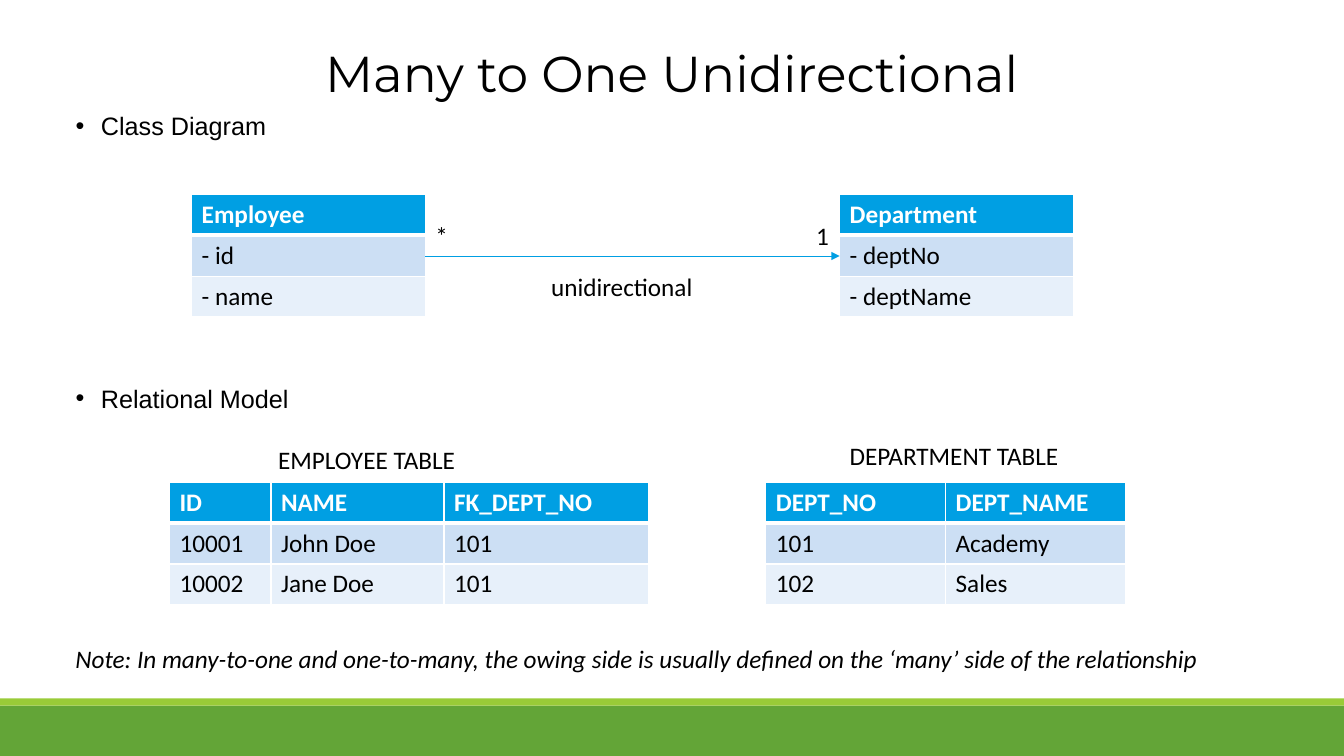
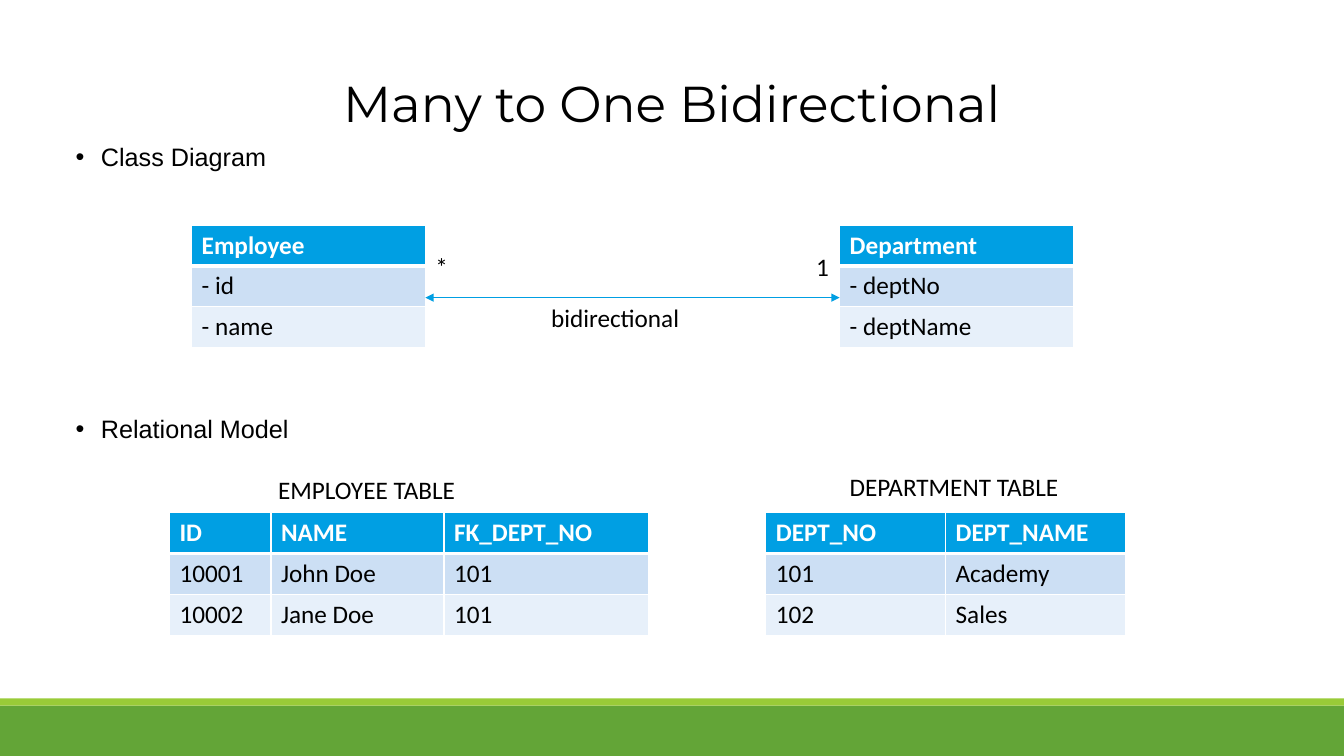
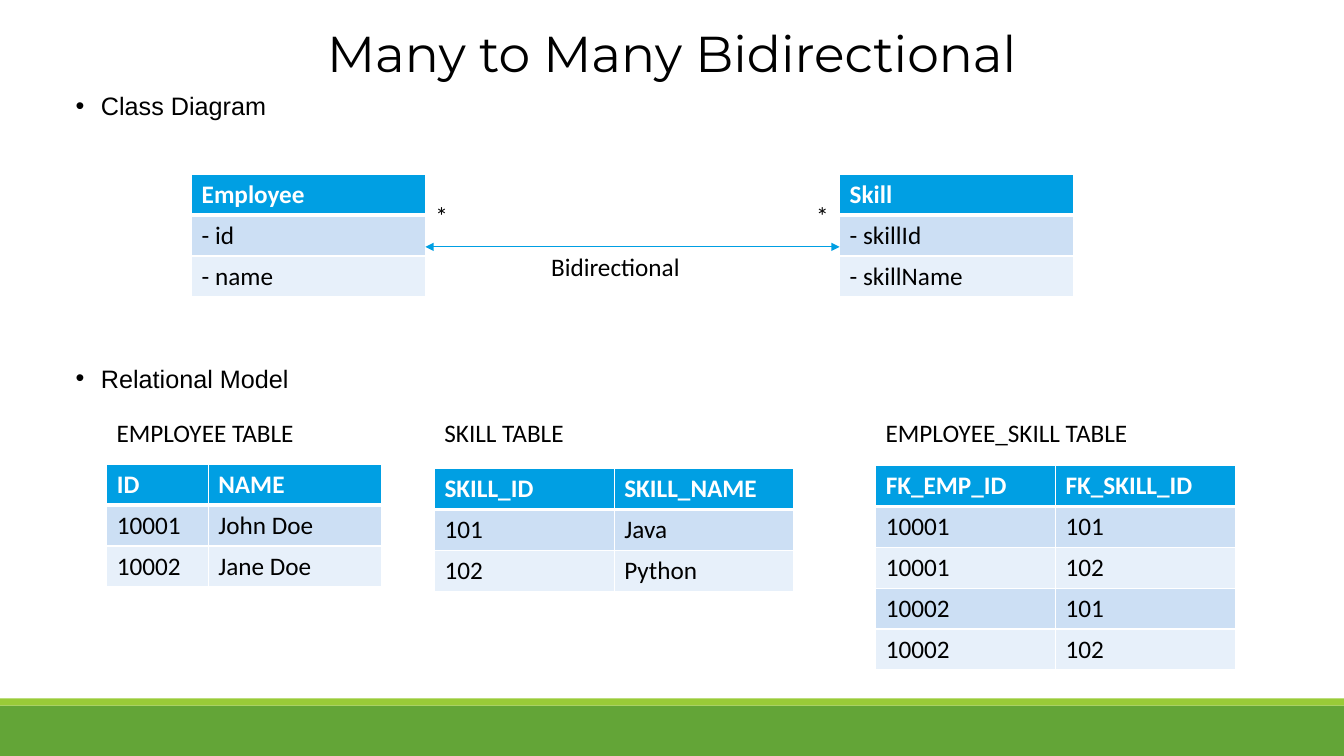
from dataclasses import dataclass

import pptx
import pptx.dml.color
import pptx.enum.shapes
import pptx.enum.text
import pptx.oxml
import pptx.oxml.ns
import pptx.util
from pptx.util import Cm

NS = pptx.oxml.ns.nsdecls("a")
ALIGN = pptx.enum.text.PP_ALIGN
TOP = pptx.enum.text.MSO_ANCHOR.TOP


# Theme
@dataclass(frozen=True)
class Theme:
    black: str = "000000"
    white: str = "FFFFFF"
    blue: str = "009FE3"
    stripes: tuple = ("CCDFF4", "E7F0FA")
    green: str = "63A537"
    lime: str = "99CB38"
    head: str = "Montserrat"
    list: str = "Arial"
    body: str = "Calibri"
    large: int = 36
    small: int = 18


THEME = Theme()

# Lengths in centimetres
WIDTH, HEIGHT = 33.87, 19.05
ROW = 1.03
LEFT, RIGHT, BOX = 4.83, 21.16, 5.89
EDGE = LEFT + BOX
MARK = 0.84
ID, NAME, KEY, PLAIN = 2.56, 4.36, 5.16, 4.53


@dataclass(frozen=True)
class Grid:
    """A captioned table; heights count from the top of the class boxes."""
    title: str
    x: float
    y: float
    cap_x: float
    cap_y: float
    cols: tuple
    rows: tuple


@dataclass(frozen=True)
class Page:
    title: str
    top: float
    target: tuple
    marks: tuple
    link: str
    drop: float
    both: bool
    grids: tuple
    note: str = ""


# Content
STAFF = (("ID", "NAME"), ("10001", "John Doe"), ("10002", "Jane Doe"))
OWNER = tuple(row + (key,) for row, key in zip(STAFF, ("FK_DEPT_NO", "101", "101")))
DEPTS = (("DEPT_NO", "DEPT_NAME"), ("101", "Academy"), ("102", "Sales"))
SKILLS = (("SKILL_ID", "SKILL_NAME"), ("101", "Java"), ("102", "Python"))
PAIRS = (("FK_EMP_ID", "FK_SKILL_ID"),) + tuple(
    (staff, skill) for staff in ("10001", "10002") for skill in ("101", "102"))

SOURCE = ("Employee", "- id", "- name")
DEPT = ("Department", "- deptNo", "- deptName")
SKILL = ("Skill", "- skillId", "- skillName")

ONE = (
    Grid("EMPLOYEE TABLE", 4.27, 7.25, 6.76, 6.17, (ID, NAME, KEY), OWNER),
    Grid("DEPARTMENT TABLE", 19.3, 7.25, RIGHT, 6.08, (PLAIN, PLAIN), DEPTS),
)
MANY = (
    Grid("EMPLOYEE TABLE", 2.69, 7.31, 2.69, 5.99, (ID, NAME), STAFF),
    Grid("SKILL TABLE", 10.95, 7.42, 10.95, 5.99, (PLAIN, PLAIN), SKILLS),
    Grid("EMPLOYEE_SKILL TABLE", 22.07, 7.34, 22.07, 5.99, (PLAIN, PLAIN), PAIRS),
)
PAGES = (
    Page("Many to One Unidirectional", 4.9, DEPT, ("*", "1"), "unidirectional",
         1.55, False, ONE,
         "Note: In many-to-one and one-to-many, the owing side is usually "
         "defined on the ‘many’ side of the relationship"),
    Page("Many to One Bidirectional", 5.67, DEPT, ("*", "1"), "bidirectional",
         1.83, True, ONE),
    Page("Many to Many Bidirectional", 4.39, SKILL, ("*", "*"), "Bidirectional",
         1.83, True, MANY),
)


# Helpers
def rgb(code: str):
    return pptx.dml.color.RGBColor.from_string(code)


def write(para, words: str, *, font: str = THEME.body, size: int = THEME.small,
          color: str = THEME.black, bold: bool = False, slant: bool = False,
          align=ALIGN.LEFT, before: float = 0) -> None:
    """Put formatted text into a paragraph."""
    para.alignment = align
    para.space_before = pptx.util.Pt(before)
    para.space_after = pptx.util.Pt(0)
    run = para.add_run()
    run.text = words
    run.font.name = font
    run.font.size = pptx.util.Pt(size)
    run.font.bold = bold
    run.font.italic = slant
    run.font.color.rgb = rgb(color)


def place(shape, x: float, y: float, w: float, h: float):
    """Move a placeholder and return its top-anchored frame."""
    shape.left, shape.top, shape.width, shape.height = map(Cm, (x, y, w, h))
    frame = shape.text_frame
    frame.word_wrap = True
    frame.auto_size = pptx.enum.text.MSO_AUTO_SIZE.NONE
    frame.vertical_anchor = TOP
    return frame


def label(slide, words: str, x: float, y: float, w: float, **form) -> None:
    box = slide.shapes.add_textbox(Cm(x), Cm(y), Cm(w), Cm(ROW))
    box.text_frame.word_wrap = True
    write(box.text_frame.paragraphs[0], words, **form)


def border(cell, row: int) -> None:
    """Draw white edges, thick between the header and the first row."""
    props = cell._tc.get_or_add_tcPr()
    thick = {0: "B", 1: "T"}.get(row)
    for spot, side in enumerate("LRTB"):
        width = pptx.util.Pt(3 if side == thick else 1)
        props.insert(spot, pptx.oxml.parse_xml(
            f'<a:ln{side} {NS} w="{width}"><a:solidFill>'
            f'<a:srgbClr val="{THEME.white}"/></a:solidFill></a:ln{side}>'))


def table(slide, x: float, y: float, cols: tuple, rows: tuple) -> None:
    grid = slide.shapes.add_table(
        len(rows), len(cols), Cm(x), Cm(y), Cm(sum(cols)), Cm(ROW * len(rows))).table
    grid.horz_banding = False
    for col, width in zip(grid.columns, cols):
        col.width = Cm(width)
    for r, row in enumerate(rows):
        grid.rows[r].height = Cm(ROW)
        for c, words in enumerate(row):
            cell = grid.cell(r, c)
            cell.fill.solid()
            cell.fill.fore_color.rgb = rgb(THEME.stripes[(r - 1) % 2] if r else THEME.blue)
            border(cell, r)
            write(cell.text_frame.paragraphs[0], words, bold=r == 0,
                  color=THEME.black if r else THEME.white)


def arrow(slide, y: float, both: bool) -> None:
    line = slide.shapes.add_connector(
        pptx.enum.shapes.MSO_CONNECTOR.STRAIGHT, Cm(EDGE), Cm(y), Cm(RIGHT), Cm(y))
    line.line.color.rgb = rgb(THEME.blue)
    line.line.width = pptx.util.Pt(0.5)
    for end in ("headEnd", "tailEnd") if both else ("tailEnd",):
        line.line._get_or_add_ln().append(
            pptx.oxml.parse_xml(f'<a:{end} {NS} type="triangle"/>'))
    line.element.spPr.append(pptx.oxml.parse_xml(f"<a:effectLst {NS}/>"))


def bands(deck, slide) -> None:
    """Draw the footer bands and move them to the slide master."""
    tree = deck.slide_master.shapes.element
    for spot, (y, h, color) in enumerate(
            ((17.78, 1.27, THEME.green), (17.6, 0.18, THEME.lime))):
        band = slide.shapes.add_shape(
            pptx.enum.shapes.MSO_SHAPE.RECTANGLE, Cm(0), Cm(y), Cm(WIDTH), Cm(h))
        band.shadow.inherit = False
        band.fill.solid()
        band.fill.fore_color.rgb = rgb(color)
        band.line.fill.background()
        band.element.nvSpPr.cNvPr.id = 20 + spot
        tree.insert(2 + spot, band.element)


def topics(frame) -> None:
    """List the two parts, spaced to clear the class diagram."""
    for spot, words in enumerate(("Class Diagram", "Relational Model")):
        para = frame.add_paragraph() if spot else frame.paragraphs[0]
        props = para._p.get_or_add_pPr()
        props.set("marL", str(Cm(0.64)))
        props.set("indent", str(-Cm(0.64)))
        props.append(pptx.oxml.parse_xml(f'<a:buFont {NS} typeface="{THEME.list}"/>'))
        props.append(pptx.oxml.parse_xml(f'<a:buChar {NS} char="•"/>'))
        write(para, words, font=THEME.list, before=173 * spot)


# Slides
def build(slide, page: Page) -> None:
    top = page.top
    title = place(slide.shapes.title, 1.65, top - 3.97, 30.56, 3.1)
    write(title.paragraphs[0], page.title, font=THEME.head, size=THEME.large,
          align=ALIGN.CENTER)
    topics(place(slide.placeholders[1], 1.65, top - 2.24, 30.56, 13.92))

    # Class diagram
    for x, rows in ((LEFT, SOURCE), (RIGHT, page.target)):
        table(slide, x, top, (BOX,), tuple((row,) for row in rows))
    arrow(slide, top + page.drop, page.both)
    for x, mark in zip((EDGE, RIGHT - MARK), page.marks):
        label(slide, mark, x, top + 0.53, MARK)
    label(slide, page.link, 13.64, top + 1.82, 5.36)

    # Relational model
    for grid in page.grids:
        table(slide, grid.x, top + grid.y, grid.cols, grid.rows)
        label(slide, grid.title, grid.cap_x, top + grid.cap_y, 9.06)
    if page.note:
        label(slide, page.note, 1.65, 16.08, 31.24, slant=True)


def main() -> None:
    deck = pptx.Presentation()
    deck.slide_width, deck.slide_height = Cm(WIDTH), Cm(HEIGHT)
    for spot, page in enumerate(PAGES):
        slide = deck.slides.add_slide(deck.slide_layouts[1])
        if spot == 0:
            bands(deck, slide)
        build(slide, page)
    deck.save("out.pptx")


if __name__ == "__main__":
    main()
